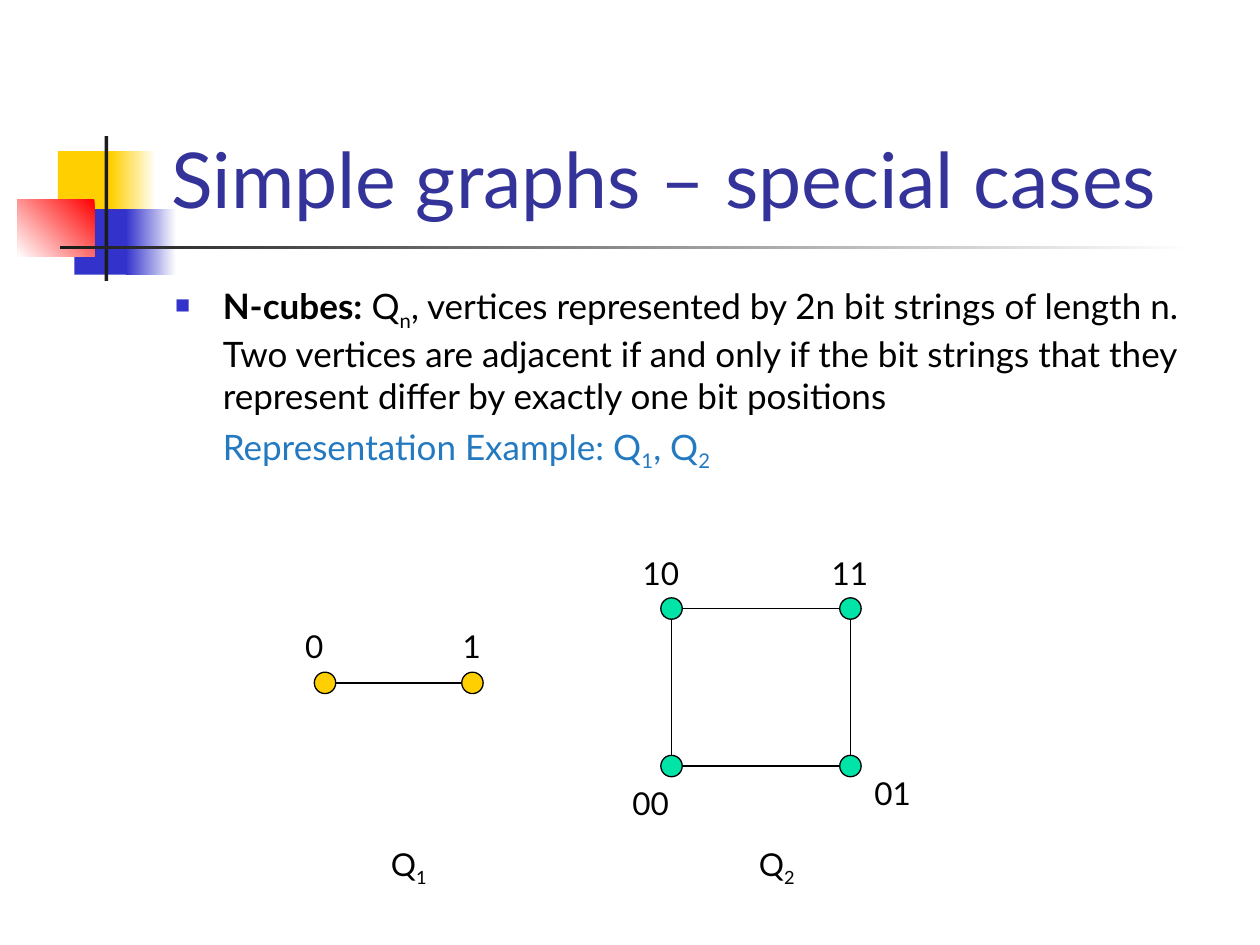
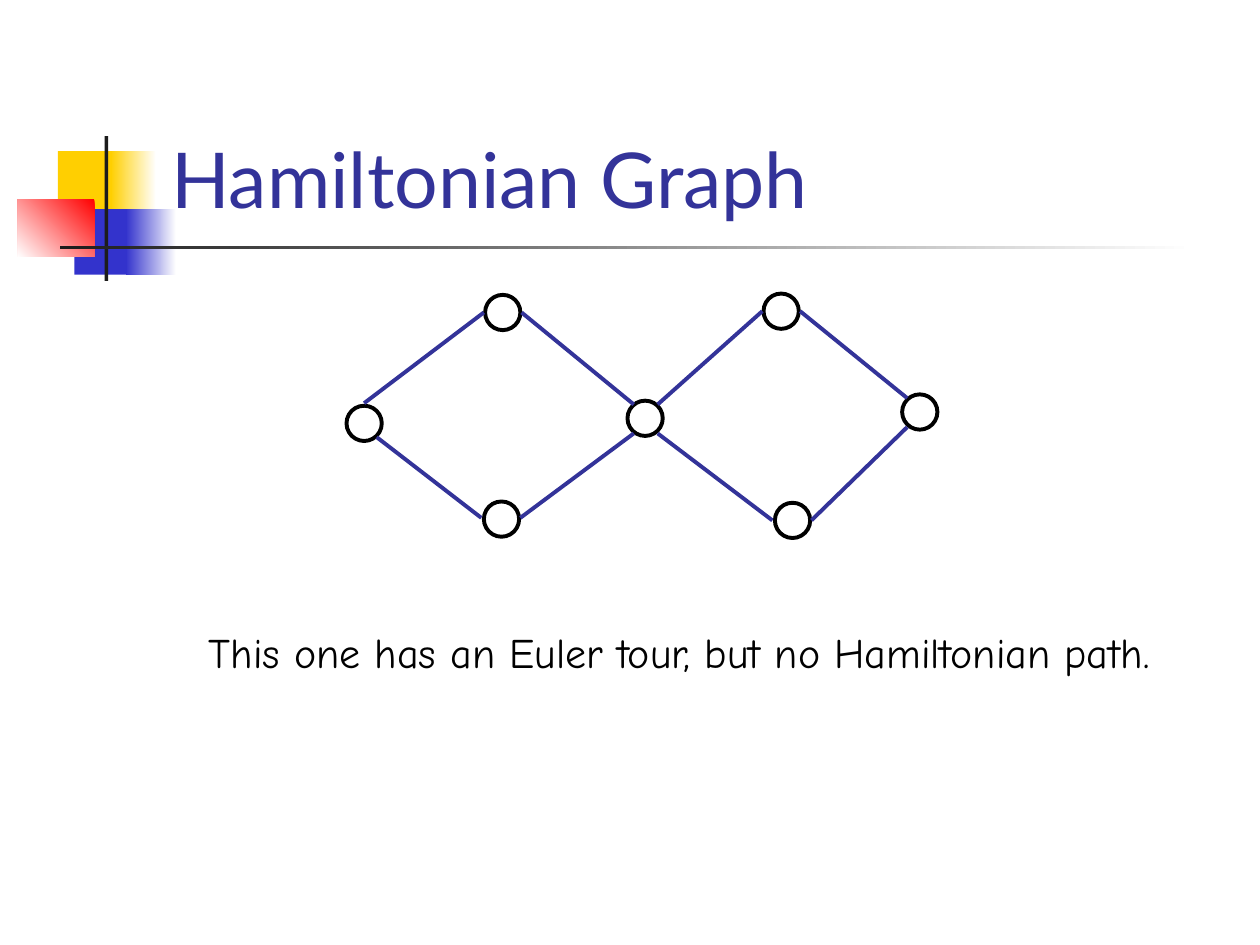
"""Build two slides on special simple graphs and a Hamiltonian graph."""
import math

from lxml import etree
from pptx import Presentation
from pptx.dml.color import RGBColor
from pptx.enum import shapes, text
from pptx.oxml import ns
from pptx.util import Inches, Pt

COLORS = {
    "yellow": "FFCF01", "blue": "3333CC", "red": "FF0000", "dark": "1C1C1C",
    "white": "FFFFFF", "black": "000000", "title": "333399",
    "example": "237AC1", "green": "00E4A8",
}
FONT = "Lato"
DOT = 0.17
RING = 0.28


def rgb(name):
    """Return the named colour."""
    return RGBColor.from_string(COLORS[name])


def lengths(values):
    """Convert numbers to inches."""
    return [Inches(value) for value in values]


def add_box(slide, box, fill=None, fade=None, angle=180, line=None,
            width=0.75, kind=shapes.MSO_SHAPE.RECTANGLE):
    """Add a preset shape, plain or fading from one colour to another."""
    shape = slide.shapes.add_shape(kind, *lengths(box))
    shape.shadow.inherit = False
    if fade:
        shape.fill.gradient()
        shape.fill.gradient_angle = angle
        for stop, name in zip(shape.fill.gradient_stops, fade):
            stop.color.rgb = rgb(name)
    elif fill:
        shape.fill.solid()
        shape.fill.fore_color.rgb = rgb(fill)
    else:
        shape.fill.background()
    if line:
        shape.line.color.rgb = rgb(line)
        shape.line.width = Pt(width)
    else:
        shape.line.fill.background()
    return shape


def add_node(slide, center, size, **style):
    """Add a round graph node around its centre."""
    box = (center[0] - size / 2, center[1] - size / 2, size, size)
    return add_box(slide, box, line="black",
                   kind=shapes.MSO_SHAPE.OVAL, **style)


def add_edge(slide, start, end, color="black", width=0.75, trim=0):
    """Add a straight edge, shortened by trim at both ends."""
    share = trim / math.dist(start, end)
    first = [a + (b - a) * share for a, b in zip(start, end)]
    last = [b + (a - b) * share for a, b in zip(start, end)]
    edge = slide.shapes.add_connector(
        shapes.MSO_CONNECTOR.STRAIGHT, *lengths(first + last))
    edge.line.color.rgb = rgb(color)
    edge.line.width = Pt(width)
    etree.SubElement(edge._element.spPr, ns.qn("a:effectLst"))


def add_bullet(paragraph, indent):
    """Give the paragraph a small blue square with a hanging indent."""
    properties = paragraph._p.get_or_add_pPr()
    properties.set("indent", str(-Inches(indent)))
    color = etree.SubElement(properties, ns.qn("a:buClr"))
    etree.SubElement(color, ns.qn("a:srgbClr"), val=COLORS["blue"])
    etree.SubElement(properties, ns.qn("a:buSzPct"), val="60000")
    etree.SubElement(properties, ns.qn("a:buChar"), char="■")


def write(paragraph, content, size=18, color="black", font=FONT, align=None,
          indent=0, bullet=False, before=0):
    """Write (text, style) runs, where style is "", "bold" or "sub"."""
    if indent:
        paragraph._p.get_or_add_pPr().set("marL", str(Inches(indent)))
    if bullet:
        add_bullet(paragraph, indent)
    if before:
        paragraph.space_before = Pt(before)
    paragraph.alignment = align
    for words, style in content:
        run = paragraph.add_run()
        run.text = words
        run.font.name = font
        run.font.size = Pt(size)
        run.font.color.rgb = rgb(color)
        run.font.bold = style == "bold"
        if style == "sub":
            run._r.get_or_add_rPr().set("baseline", "-25000")


def add_text_box(slide, box, wrap=True, anchor=text.MSO_ANCHOR.TOP):
    """Add an empty text box and return its frame."""
    frame = slide.shapes.add_textbox(*lengths(box)).text_frame
    frame.word_wrap = wrap
    frame.vertical_anchor = anchor
    return frame


def add_label(slide, left, top, name, subscript=""):
    """Add a white label with an optional subscript."""
    label = add_box(slide, (left, top, 0.33, 0.25), "white", line="white")
    frame = label.text_frame
    frame.word_wrap = False
    frame.vertical_anchor = text.MSO_ANCHOR.MIDDLE
    content = [(name, "")] + ([(subscript, "sub")] if subscript else [])
    write(frame.paragraphs[0], content, align=text.PP_ALIGN.CENTER)


def add_titled_slide(presentation, title):
    """Add a slide with the coloured blocks, the rule and the title."""
    slide = presentation.slides.add_slide(presentation.slide_layouts[6])
    add_box(slide, (0.46, 1.2, 0.48, 0.52), "yellow")
    add_box(slide, (0.88, 1.2, 0.36, 0.52), fade=("white", "yellow"))
    add_box(slide, (0.59, 1.66, 0.46, 0.52), "blue")
    add_box(slide, (1, 1.66, 0.4, 0.52), fade=("white", "blue"))
    add_box(slide, (0.14, 1.58, 0.61, 0.46), fade=("red", "white"), angle=225)
    add_box(slide, (0.83, 1.08, 0.03, 1.15), "dark")
    add_box(slide, (0.48, 1.95, 9, 0.03), fade=("white", "dark"))
    frame = add_text_box(slide, (1.26, 0.23, 8.52, 1.6),
                         anchor=text.MSO_ANCHOR.BOTTOM)
    write(frame.paragraphs[0], [(title, "")], size=44, color="title")
    return slide


def add_cycle(slide, corners, fill):
    """Add dots at the corners and join each one to the next."""
    for corner in corners:
        add_node(slide, corner, DOT, fill=fill)
    pairs = list(zip(corners, corners[1:]))
    if len(corners) > 2:
        pairs.append((corners[-1], corners[0]))
    for start, end in pairs:
        add_edge(slide, start, end, trim=DOT / 2)


def build_cubes(presentation):
    """Build the slide on n-cubes."""
    slide = add_titled_slide(presentation, "Simple graphs – special cases")
    frame = add_text_box(slide, (1.29, 2.21, 8.5, 2.04))
    write(frame.paragraphs[0], [
        ("N-cubes:", "bold"), (" Q", ""), ("n", "sub"),
        (", vertices represented by 2n bit strings of length n. Two vertices "
         "are adjacent if and only if the bit strings that they represent "
         "differ by exactly one bit positions", ""),
    ], size=20, indent=0.38, bullet=True)
    write(frame.add_paragraph(), [
        ("Representation Example: Q", ""), ("1", "sub"),
        (", Q", ""), ("2", "sub"),
    ], size=20, color="example", indent=0.38, before=5)

    left, right, top, bottom = 5.33, 6.75, 4.83, 6.08
    add_cycle(slide, [(2.58, 5.42), (3.75, 5.42)], "yellow")
    add_cycle(slide, [(left, top), (right, top),
                      (right, bottom), (left, bottom)], "green")
    for label in [
        (2.33, 5, "0"), (3.58, 5, "1"), (5.08, 4.42, "10"),
        (6.58, 4.42, "11"), (5, 6.25, "00"), (6.92, 6.17, "01"),
        (3.08, 6.75, "Q", "1"), (6, 6.75, "Q", "2"),
    ]:
        add_label(slide, *label)


def build_hamiltonian(presentation):
    """Build the slide on the Hamiltonian graph."""
    slide = add_titled_slide(presentation, "Hamiltonian Graph")
    for center in [(3.99, 2.48), (2.89, 3.36), (5.12, 3.32), (3.98, 4.12),
                   (6.2, 2.47), (7.3, 3.27), (6.29, 4.13)]:
        add_node(slide, center, RING, width=2.25)
    for start, end in [
        ((3.84, 2.48), (2.89, 3.2)), ((4.14, 2.48), (5.03, 3.21)),
        ((3.82, 4.11), (2.99, 3.47)), ((4.13, 4.11), (5.03, 3.44)),
        ((5.22, 3.21), (6.05, 2.47)), ((7.2, 3.16), (6.35, 2.47)),
        ((6.13, 4.13), (5.22, 3.44)), ((7.2, 3.39), (6.44, 4.13)),
    ]:
        add_edge(slide, start, end, color="title", width=2.25)
    frame = add_text_box(slide, (1.33, 4.92, 8.12, 0.5), wrap=False)
    frame.margin_left = frame.margin_right = Inches(0.3)
    write(frame.paragraphs[0],
          [("This one has an Euler tour, but no Hamiltonian path.", "")],
          size=24, font="Comic Neue", align=text.PP_ALIGN.CENTER)


def main():
    """Build and save the presentation."""
    presentation = Presentation()
    presentation.slide_width = Inches(10)
    presentation.slide_height = Inches(7.5)
    build_cubes(presentation)
    build_hamiltonian(presentation)
    presentation.save("out.pptx")


if __name__ == "__main__":
    main()
